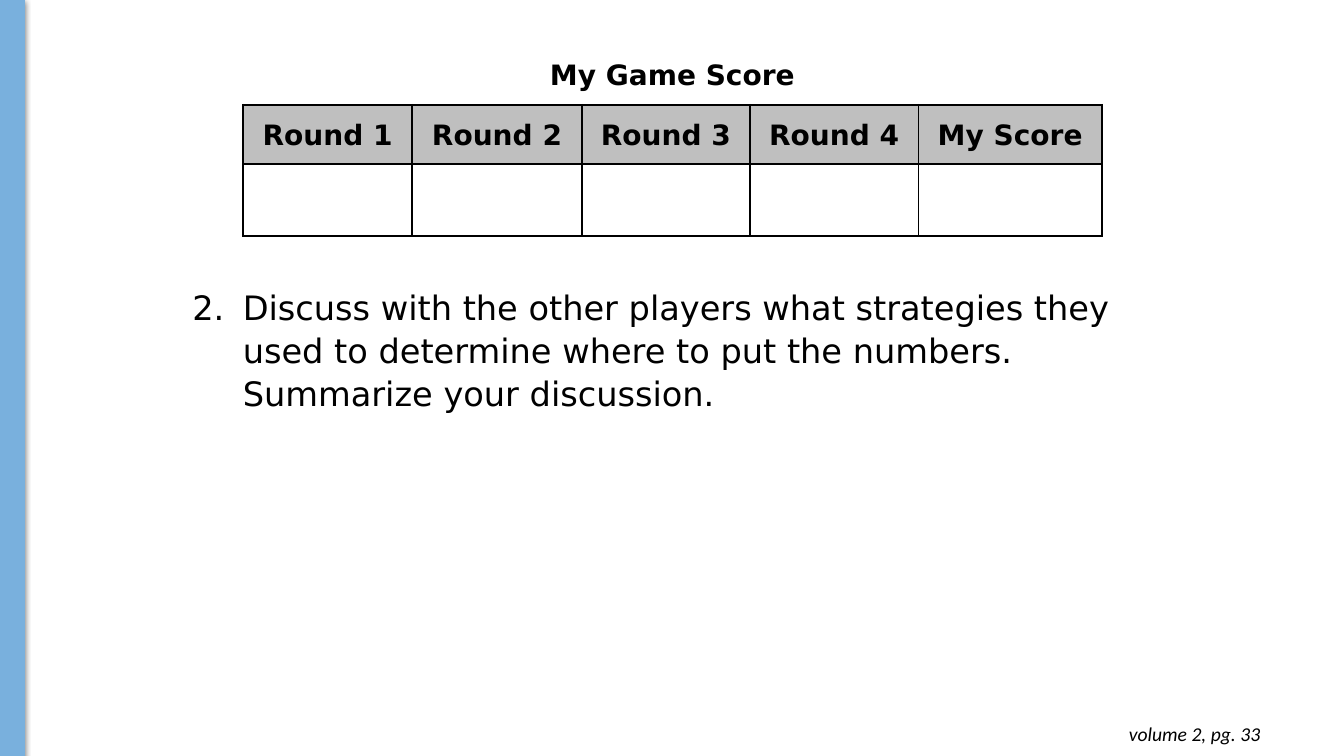
from lxml.etree import SubElement
from pptx import Presentation
from pptx.dml.color import RGBColor
from pptx.enum.shapes import MSO_SHAPE
from pptx.enum.text import MSO_ANCHOR, MSO_AUTO_SIZE, PP_ALIGN
from pptx.oxml import parse_xml
from pptx.oxml.ns import nsdecls, qn
from pptx.util import Inches, Pt

TITLE = "My Game Score"
HEADINGS = ["Round 1", "Round 2", "Round 3", "Round 4", "My Score"]
QUESTION = ("Discuss with the other players what strategies they used to determine "
            "where to put the numbers. Summarize your discussion.")
QUESTION_NUMBER = 2
PAGE_NOTE = "volume 2, pg. 33"

WIDTH, HEIGHT = 13.33, 7.5
COLUMN_WIDTHS = [1.68, 1.68, 1.67, 1.67, 1.82]
ROW_HEIGHTS = [0.47, 0.59, 0.71]
BODY_FONT, NOTE_FONT = "DejaVu Sans", "Calibri"
BLACK, GRAY, BLUE = "000000", "BFBFBF", "79B0DD"


def color(value):
    return RGBColor.from_string(value)


def write(text_frame, text, size, font=BODY_FONT, align=PP_ALIGN.LEFT, spacing=None,
          bold=False, italic=False):
    text_frame.text = text
    paragraph = text_frame.paragraphs[0]
    paragraph.alignment = align
    paragraph.line_spacing = spacing
    run_font = paragraph.runs[0].font
    run_font.name, run_font.size = font, Pt(size)
    run_font.bold, run_font.italic = bold, italic
    run_font.color.rgb = color(BLACK)
    return paragraph


def add_text_box(slide, left, top, width, height):
    text_frame = slide.shapes.add_textbox(
        Inches(left), Inches(top), Inches(width), Inches(height)).text_frame
    text_frame.word_wrap = True
    text_frame.auto_size = MSO_AUTO_SIZE.SHAPE_TO_FIT_TEXT
    return text_frame


def set_borders(cell, sides):
    properties = cell._tc.get_or_add_tcPr()
    for index, side in enumerate(sides):
        properties.insert(index, parse_xml(
            f'<a:ln{side} {nsdecls("a")} w="{Pt(1.5)}"><a:solidFill>'
            f'<a:srgbClr val="{BLACK}"/></a:solidFill></a:ln{side}>'))


def add_side_bar(slide):
    bar = slide.shapes.add_shape(MSO_SHAPE.RECTANGLE, 0, 0, Inches(0.24), Inches(7.51))
    bar.fill.solid()
    bar.fill.fore_color.rgb = color(BLUE)
    bar.line.color.rgb = color(BLUE)
    bar.line.width = Pt(0.75)
    bar.shadow.inherit = False
    effects = bar._element.spPr.find(qn("a:effectLst"))
    effects.append(parse_xml(
        f'<a:outerShdw {nsdecls("a")} blurRad="{Pt(4.5)}" dist="{Pt(1.5)}" dir="5400000" '
        f'rotWithShape="0"><a:srgbClr val="{BLACK}"><a:alpha val="50000"/></a:srgbClr>'
        '</a:outerShdw>'))


def add_score_table(slide):
    table = slide.shapes.add_table(
        len(ROW_HEIGHTS), len(COLUMN_WIDTHS), Inches(2.41), Inches(0.57),
        Inches(sum(COLUMN_WIDTHS)), Inches(sum(ROW_HEIGHTS))).table
    table.first_row = table.horz_banding = False
    for column, width in zip(table.columns, COLUMN_WIDTHS):
        column.width = Inches(width)
    for row, height in zip(table.rows, ROW_HEIGHTS):
        row.height = Inches(height)
    table.cell(0, 0).merge(table.cell(0, len(HEADINGS) - 1))

    texts = [[TITLE], HEADINGS, []]
    for row_index, row in enumerate(table.rows):
        for column_index, cell in enumerate(row.cells):
            cell.margin_left = cell.margin_right = Inches(0.07)
            cell.margin_top = cell.margin_bottom = 0
            if row_index == 1:
                cell.vertical_anchor = MSO_ANCHOR.MIDDLE
                cell.fill.solid()
                cell.fill.fore_color.rgb = color(GRAY)
            else:
                cell.fill.background()
            set_borders(cell, "LRTB" if row_index else "B")
            if column_index < len(texts[row_index]):
                write(cell.text_frame, texts[row_index][column_index], 20,
                      align=PP_ALIGN.CENTER, spacing=1.07, bold=True)


def add_question(slide):
    text_frame = add_text_box(slide, 1.81, 2.77, 9.5, 1.4)
    paragraph = write(text_frame, QUESTION, 24, spacing=1.07)
    properties = paragraph._p.get_or_add_pPr()
    properties.set("marL", str(Inches(0.5)))
    properties.set("indent", str(-Inches(0.5)))
    bullet_color = SubElement(properties, qn("a:buClr"))
    SubElement(bullet_color, qn("a:srgbClr"), val=BLACK)
    SubElement(properties, qn("a:buFont"), typeface=BODY_FONT)
    SubElement(properties, qn("a:buAutoNum"), type="arabicPeriod",
               startAt=str(QUESTION_NUMBER))


def add_page_note(slide):
    text_frame = add_text_box(slide, 9.72, 7.06, 2.88, 0.44)
    text_frame.margin_left = text_frame.margin_right = Inches(0.1)
    text_frame.margin_top = text_frame.margin_bottom = Inches(0.1)
    write(text_frame, PAGE_NOTE, 14, NOTE_FONT, PP_ALIGN.RIGHT, italic=True)


def main():
    presentation = Presentation()
    presentation.slide_width, presentation.slide_height = Inches(WIDTH), Inches(HEIGHT)
    slide = presentation.slides.add_slide(presentation.slide_layouts[6])
    add_side_bar(slide)
    add_score_table(slide)
    add_question(slide)
    add_page_note(slide)
    presentation.save("out.pptx")


if __name__ == "__main__":
    main()
